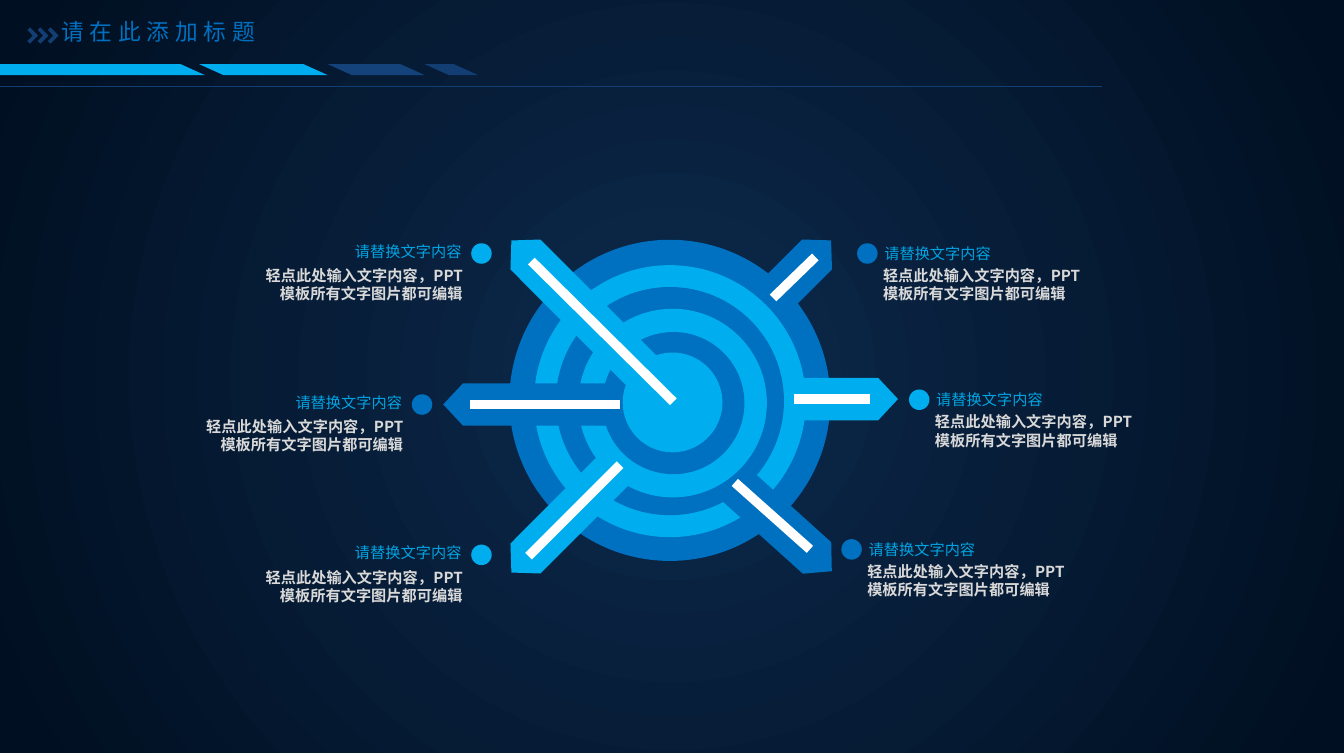
from math import atan2, ceil, cos, floor, pi, radians, sin, sqrt, tan, tau

from lxml.etree import SubElement
from pptx import Presentation
from pptx.dml.color import RGBColor
from pptx.enum.shapes import MSO_CONNECTOR, MSO_SHAPE
from pptx.enum.text import MSO_ANCHOR, MSO_AUTO_SIZE, PP_ALIGN
from pptx.oxml.ns import qn
from pptx.util import Inches, Pt

COLUMNS, ROWS = 984, 551
CELL = Inches(0.01)
ARROW_HALF_WIDTH, ARROW_HEAD = 15.5, 14.5
CJK_FONT = "Noto Sans CJK SC"
COLORS = {
    "center": "0D2A4D", "edge": "000F21", "blue": "0070C0", "cyan": "00AEEF",
    "navy": "14427A", "deep": "133E73", "heading": "00A4E3", "body": "D9D9D9",
    "white": "FFFFFF",
}
TITLE = "请在此添加标题"
HEADING = "请替换文字内容"
BODY = "轻点此处输入文字内容，PPT模板所有文字图片都可编辑"

# center x, center y, radius, disc radius, arrow tip, angle, stripe start, stripe end, color
RINGS = [
    (490.5, 293, 117.5, 109.5, (608.5, 176), -45, (597, 188), (566, 218), "blue"),
    (490.5, 293.5, 99.5, 92, (657.5, 292), 0, (637, 292), (581, 292), "cyan"),
    (490.5, 293.5, 83.5, 77, (609, 418), 42, (593, 402), (538, 353), "blue"),
    (492.5, 295, 69, 62, (374.5, 419), 135, (387, 407), (454, 340), "cyan"),
    (493, 295, 52, 43.5, (324.5, 296), 180, (344, 296), (454, 296), "blue"),
    (492.5, 294.5, 36.5, 21, (374.5, 176), 225, (493, 294), (389, 191), "cyan"),
]
CALLOUTS = [
    (627.5, 178, "right", "blue"), (665.5, 285, "right", "cyan"),
    (616, 394.5, "right", "blue"), (345, 398.5, "left", "cyan"),
    (301.5, 288.5, "left", "blue"), (345, 178, "left", "cyan"),
]
BARS = [(-161, 311, "cyan"), (146, 94, "cyan"), (240, 71, "navy"), (311, 39, "deep")]


def cells(*counts):
    """Convert counts of grid cells to lengths."""
    return [round(count * CELL) for count in counts]


def color(name):
    """Return the named palette color."""
    return RGBColor.from_string(COLORS[name])


def paint(shape, fill):
    """Give a shape a flat fill without line or shadow."""
    shape.shadow.inherit = False
    shape.fill.solid()
    shape.fill.fore_color.rgb = color(fill)
    shape.line.fill.background()


def add_preset(slide, kind, box, fill):
    """Add a flat preset shape."""
    shape = slide.shapes.add_shape(kind, *cells(*box))
    paint(shape, fill)
    return shape


def add_outline(slide, points, fill, curves=0):
    """Add a closed outline whose first points, in threes, form Bezier curves."""
    start, *others = [cells(*point) for point in points]
    builder = slide.shapes.build_freeform(*start, scale=1.0)
    builder.add_line_segments(others, close=True)
    shape = builder.convert_to_shape()
    paint(shape, fill)
    segments = list(shape.element.iter(qn("a:lnTo")))
    for index in range(0, 3 * curves, 3):
        curve = SubElement(segments[index].getparent(), qn("a:cubicBezTo"))
        segments[index].addprevious(curve)
        for segment in segments[index:index + 3]:
            curve.append(segment[0])
            segment.getparent().remove(segment)


def add_line(slide, start, end, stroke, width):
    """Add a straight line without shadow."""
    line = slide.shapes.add_connector(MSO_CONNECTOR.STRAIGHT, *cells(*start, *end))
    line.line.color.rgb = color(stroke)
    line.line.width = Pt(width)
    SubElement(line.element.spPr, qn("a:effectLst"))


def write(frame, text, *, size, fill, font=CJK_FONT, bold=False, align=PP_ALIGN.LEFT,
          anchor=MSO_ANCHOR.TOP, inset=(0, 0), wrap=True, leading=1.0, tracking=None):
    """Write one formatted paragraph into a text frame."""
    frame.word_wrap = wrap
    frame.vertical_anchor = anchor
    frame.margin_left, frame.margin_top = cells(*inset)
    frame.margin_right, frame.margin_bottom = cells(*inset)
    paragraph = frame.paragraphs[0]
    paragraph.alignment = align
    paragraph.line_spacing = leading
    run = paragraph.add_run()
    run.text = text
    run.font.size, run.font.bold, run.font.name = Pt(size), bold, font
    run.font.color.rgb = color(fill)
    properties = run.font._rPr
    SubElement(properties, qn("a:ea")).set("typeface", CJK_FONT)
    if tracking:
        properties.set("spc", str(tracking * 100))


def add_text(slide, box, text, **style):
    """Add a text box with one formatted paragraph."""
    write(slide.shapes.add_textbox(*cells(*box)).text_frame, text, **style)


def set_background(slide):
    """Fill the slide with a circular gradient."""
    fill = slide.background.fill
    fill.gradient()
    for stop, name, position in zip(fill.gradient_stops, ("center", "edge"), (0, 0.97)):
        stop.color.rgb = color(name)
        stop.position = position
    gradient = slide.element.find(".//" + qn("a:gradFill"))
    gradient.remove(gradient.find(qn("a:lin")))
    circle = SubElement(gradient, qn("a:path"), {"path": "circle"})
    SubElement(circle, qn("a:fillToRect"), dict.fromkeys("ltrb", "50000"))


def arc_points(x, y, radius, start, end):
    """Return Bezier points of an arc split at the extremes of its circle."""
    quarter = pi / 2
    extremes = range(floor(start / quarter) + 1, ceil(end / quarter))
    turns = [start, *(index * quarter for index in extremes), end]
    points = [(x + radius * cos(start), y + radius * sin(start))]
    for first, last in zip(turns, turns[1:]):
        pull = 4 / 3 * tan((last - first) / 4)
        for turn, tangent in ((first, pull), (last, -pull), (last, 0)):
            points.append((x + radius * (cos(turn) - tangent * sin(turn)),
                           y + radius * (sin(turn) + tangent * cos(turn))))
    return points


def add_ring(slide, x, y, radius, disc, tip, angle, start, end, fill):
    """Add a ring joined to an arrow, with its inner disc and white stripe."""
    across, down = cos(radians(angle)), sin(radians(angle))
    shoulders, joints = [], []
    for offset in (ARROW_HALF_WIDTH, -ARROW_HALF_WIDTH):
        shoulder_x = tip[0] - ARROW_HEAD * across - offset * down
        shoulder_y = tip[1] - ARROW_HEAD * down + offset * across
        along = (shoulder_x - x) * across + (shoulder_y - y) * down
        aside = (shoulder_y - y) * across - (shoulder_x - x) * down
        reach = along - sqrt(radius ** 2 - aside ** 2)
        shoulders.append((shoulder_x, shoulder_y))
        joints.append(atan2(shoulder_y - reach * down - y, shoulder_x - reach * across - x))
    sweep = (joints[1] - joints[0]) % tau
    arc = arc_points(x, y, radius, joints[0], joints[0] + sweep)
    add_outline(slide, [*arc, shoulders[1], tip, shoulders[0]], fill, len(arc) // 3)
    add_preset(slide, MSO_SHAPE.OVAL, (x - disc, y - disc, 2 * disc, 2 * disc), fill)
    add_line(slide, start, end, "white", 5)


def add_callout(slide, left, top, side, fill):
    """Add a dot with its heading and body text beside it."""
    add_preset(slide, MSO_SHAPE.OVAL, (left, top, 15, 15), fill)
    if side == "right":
        align, start, widths, heights = PP_ALIGN.LEFT, left + 19, (91, 148), (18, 33)
        lefts = (start, start)
    else:
        align, end, widths, heights = PP_ALIGN.RIGHT, left - 6, (94, 146), (15, 29)
        lefts = [end - width for width in widths]
    add_text(slide, (lefts[0], top - 3, widths[0], heights[0]), HEADING, size=8,
             fill="heading", font="Arial", align=align, anchor=MSO_ANCHOR.MIDDLE,
             inset=(1, 1), leading=1.2)
    add_text(slide, (lefts[1], top + 17, widths[1], heights[1]), BODY, size=8,
             fill="body", bold=True, align=align)


def add_header(slide):
    """Add the title, its chevrons, the slanted bars and the rule."""
    for left, width, fill in BARS:
        bar = add_preset(slide, MSO_SHAPE.PARALLELOGRAM, (left, 47, width, 8), fill)
        bar.adjustments[0] = 2.21
        bar.element.spPr.xfrm.set("flipV", "1")
    add_line(slide, (-43, 63), (807, 63), "deep", 0.5)
    title = slide.shapes.title
    title.left, title.top, title.width, title.height = cells(35, 8, 167, 30)
    write(title.text_frame, TITLE, size=12, fill="blue", inset=(10, 5),
          wrap=False, tracking=3)
    title.text_frame.auto_size = MSO_AUTO_SIZE.SHAPE_TO_FIT_TEXT
    chevron = [(0, 2), (2, 0), (8, 6), (2, 12), (0, 10), (4, 6)]
    for index in range(3):
        add_outline(slide, [(20 + 7.5 * index + x, 20 + y) for x, y in chevron], "deep")


def main():
    """Build and save the slide."""
    presentation = Presentation()
    presentation.slide_width, presentation.slide_height = cells(COLUMNS, ROWS)
    slide = presentation.slides.add_slide(presentation.slide_layouts[5])
    set_background(slide)
    for ring in RINGS:
        add_ring(slide, *ring)
    for callout in CALLOUTS:
        add_callout(slide, *callout)
    add_header(slide)
    presentation.save("out.pptx")


if __name__ == "__main__":
    main()
